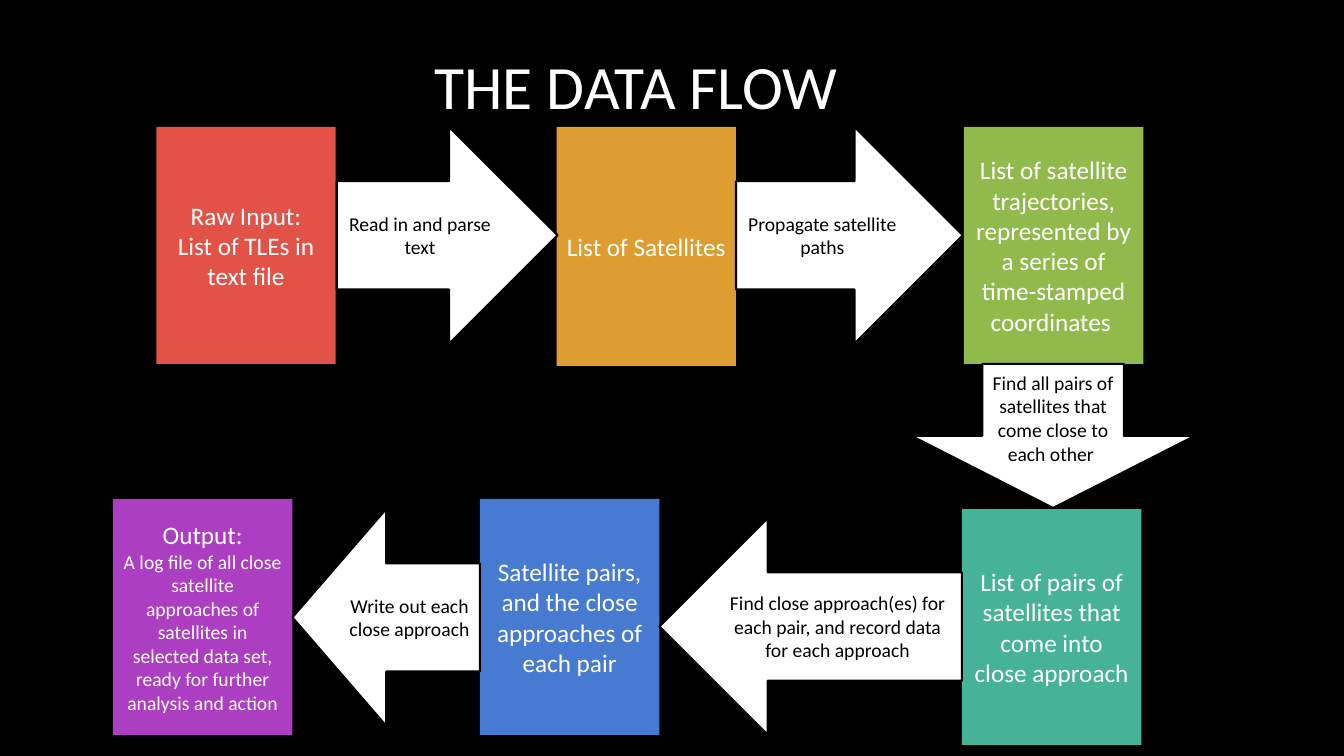
from dataclasses import dataclass

from pptx import Presentation
from pptx.dml.color import RGBColor
from pptx.enum.shapes import MSO_SHAPE
from pptx.enum.text import MSO_ANCHOR, PP_ALIGN
from pptx.util import Inches, Pt


@dataclass(frozen=True)
class Theme:
    """Colours, typeface and type sizes of the slide."""
    font: str = "Calibri"
    background: str = "000000"
    light: str = "FFFFFF"
    dark: str = "000000"
    red: str = "E25247"
    orange: str = "DD9D31"
    green: str = "90BA4C"
    teal: str = "46B298"
    blue: str = "477BD1"
    purple: str = "AC3EC1"
    title_size: int = 44
    stage_size: int = 18
    step_size: int = 14
    outline: float = 1.5


class FlowSlide:
    """Draws the title, stages and steps of a data flow."""

    def __init__(self, presentation, theme):
        """Add a blank slide with the theme background."""
        self.theme = theme
        self.slide = presentation.slides.add_slide(presentation.slide_layouts[6])
        fill = self.slide.background.fill
        fill.solid()
        fill.fore_color.rgb = RGBColor.from_string(theme.background)

    def label(self, shape, lines, color):
        """Fill a shape with centred lines given as (text, size)."""
        frame = shape.text_frame
        frame.word_wrap = True
        frame.vertical_anchor = MSO_ANCHOR.MIDDLE
        for index, (text, size) in enumerate(lines):
            paragraph = frame.add_paragraph() if index else frame.paragraphs[0]
            paragraph.alignment = PP_ALIGN.CENTER
            run = paragraph.add_run()
            run.text = text
            formats = {"name": self.theme.font, "size": Pt(size), "bold": False}
            for name, value in formats.items():
                setattr(run.font, name, value)
            run.font.color.rgb = RGBColor.from_string(color)

    def block(self, kind, box, color):
        """Add a flat filled shape without an outline."""
        shape = self.slide.shapes.add_shape(kind, *map(Inches, box))
        shape.shadow.inherit = False
        shape.fill.solid()
        shape.fill.fore_color.rgb = RGBColor.from_string(color)
        shape.line.fill.background()
        return shape

    def title(self, box, text):
        """Add the slide title."""
        shape = self.slide.shapes.add_textbox(*map(Inches, box))
        self.label(shape, [(text, self.theme.title_size)], self.theme.light)

    def stage(self, box, color, heading, *details):
        """Add a coloured stage with a heading and optional details."""
        shape = self.block(MSO_SHAPE.RECTANGLE, box, color)
        lines = [(heading, self.theme.stage_size), *details]
        self.label(shape, lines, self.theme.light)

    def step(self, kind, box, text):
        """Add an outlined block arrow with its label."""
        shape = self.block(kind, box, self.theme.light)
        shape.line.color.rgb = RGBColor.from_string(self.theme.dark)
        shape.line.width = Pt(self.theme.outline)
        self.label(shape, [(text, self.theme.step_size)], self.theme.dark)


def main():
    """Build the data flow slide."""
    presentation = Presentation()
    presentation.slide_width = Inches(13.33)
    presentation.slide_height = Inches(7.5)
    theme = Theme()
    flow = FlowSlide(presentation, theme)
    flow.title((0.77, 0.05, 11.08, 1.59), "THE DATA FLOW")

    width, top, bottom = 1.78, 1.26, 4.95
    stages = [
        (1.55, top, 2.35, theme.red, "Raw Input:",
         ("List of TLEs in text file", theme.stage_size)),
        (5.52, top, 2.37, theme.orange, "List of Satellites"),
        (9.56, top, 2.35, theme.green,
         "List of satellite trajectories, represented by a series of "
         "time-stamped coordinates "),
        (9.54, 5.05, 2.34, theme.teal,
         "List of pairs of satellites that come into close approach"),
        (4.76, bottom, 2.34, theme.blue,
         "Satellite pairs, and the close approaches of each pair"),
        (1.12, bottom, 2.34, theme.purple, "Output:",
         ("A log file of all close satellite approaches of satellites in "
          "selected data set, ready for further analysis and action",
          theme.step_size)),
    ]
    for left, stage_top, height, color, *lines in stages:
        flow.stage((left, stage_top, width, height), color, *lines)

    right, down, back = (MSO_SHAPE.RIGHT_ARROW, MSO_SHAPE.DOWN_ARROW,
                         MSO_SHAPE.LEFT_ARROW)
    steps = [
        (right, (3.34, top, 2.19, 2.15), "Read in and parse text"),
        (right, (7.3, top, 2.25, 2.15), "Propagate satellite paths"),
        (down, (9.04, 3.61, 2.81, 1.43),
         "Find all pairs of satellites that come close to each other "),
        (back, (6.54, 5.14, 3, 2.15),
         "Find close approach(es) for each pair, and record data for each "
         "approach"),
        (back, (2.9, 5.05, 1.86, 2.15), "Write out each close approach"),
    ]
    for kind, box, text in steps:
        flow.step(kind, box, text)
    presentation.save("out.pptx")


if __name__ == "__main__":
    main()
